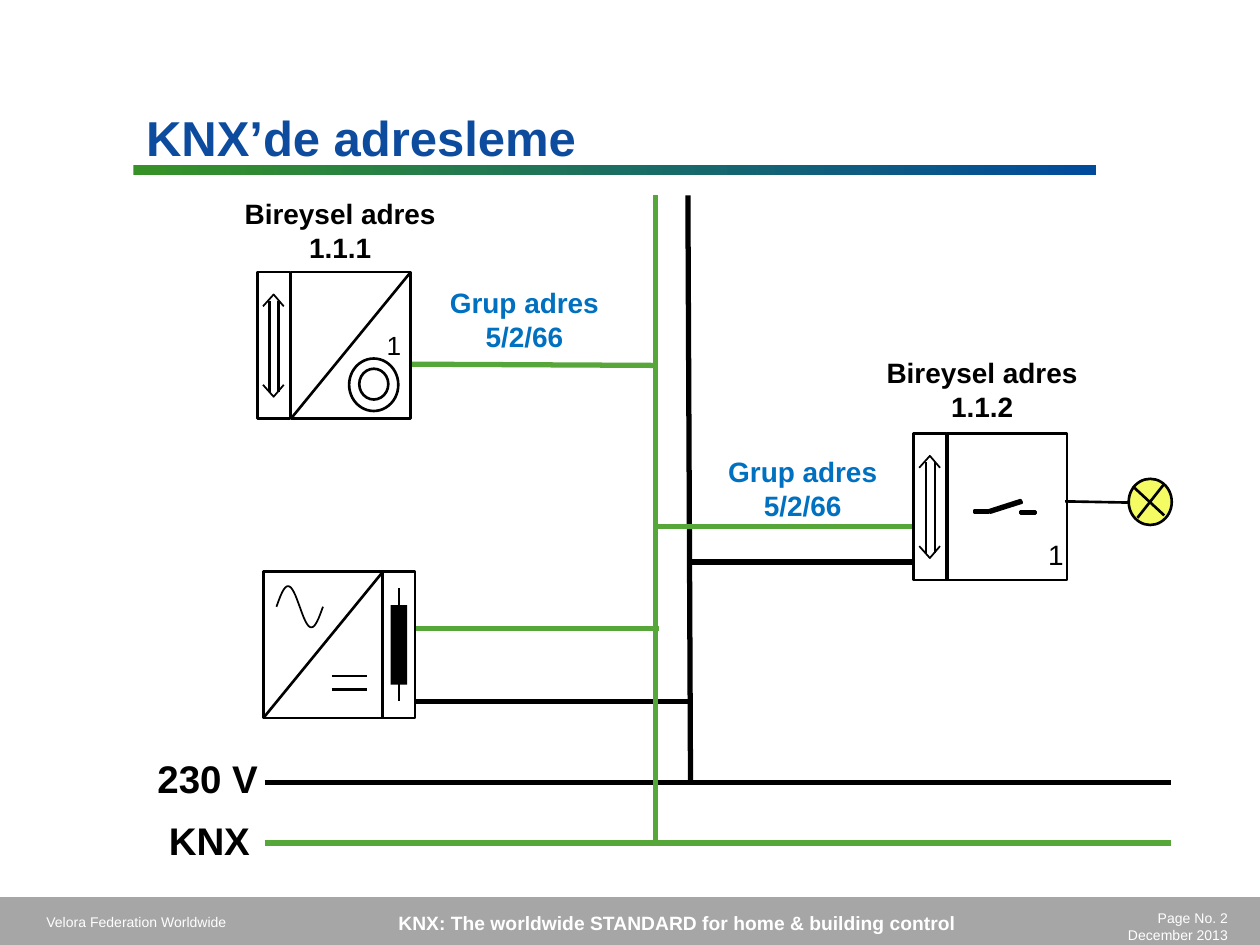
import math
from dataclasses import dataclass

import pptx
import pptx.util
from lxml import etree
from pptx.dml.color import RGBColor
from pptx.enum.shapes import MSO_CONNECTOR, MSO_SHAPE
from pptx.enum.text import MSO_ANCHOR, MSO_AUTO_SIZE, PP_ALIGN
from pptx.oxml.ns import qn

Pt = pptx.util.Pt


@dataclass(frozen=True)
class Theme:
    font: str = "Arial"
    black: str = "000000"
    white: str = "FFFFFF"
    title: str = "0C4B9D"
    group: str = "0070C0"
    bus: str = "57A639"
    lamp: str = "F4FB63"
    footer: str = "A6A6A6"
    rule: tuple = ("369226", "014B9D")
    title_size: float = 28
    rail_size: float = 22
    label_size: float = 16
    channel_size: float = 15
    slogan_size: float = 11
    footer_size: float = 8
    wire: float = 3
    outline: float = 1.5
    thin: float = 1


T = Theme()
LEFT, CENTER, RIGHT = PP_ALIGN.LEFT, PP_ALIGN.CENTER, PP_ALIGN.RIGHT
BAR_W, BODY_W, DEVICE_H = 18.8, 68.4, 83.7
FOOTER_INSETS = (7.2, 3.6, 7.2, 3.6)


def color(value):
    return RGBColor.from_string(value)


def write(tf, text, size, fill, bold=False, align=LEFT, insets=(0, 0, 0, 0)):
    """Fill a text frame; each newline starts a paragraph, each \\v breaks a line."""
    sides = ("margin_left", "margin_top", "margin_right", "margin_bottom")
    for side, inset in zip(sides, insets):
        setattr(tf, side, Pt(inset))
    tf.text = text
    tf.vertical_anchor = MSO_ANCHOR.TOP
    tf.auto_size = MSO_AUTO_SIZE.NONE
    for p in tf.paragraphs:
        p.alignment = align
        p.space_before = Pt(0)
        for r in p.runs:
            fmt = {"name": T.font, "size": Pt(size), "bold": bold}
            for key, value in fmt.items():
                setattr(r.font, key, value)
            r.font.color.rgb = color(fill)


def label(s, box, text, size, fill=T.black, wrap=False, **fmt):
    tf = s.shapes.add_textbox(*map(Pt, box)).text_frame
    write(tf, text, size, fill, **fmt)
    tf.word_wrap = wrap


def paint(sp, fill=None, line=None, width=T.outline):
    sp.shadow.inherit = False
    if fill:
        sp.fill.solid()
        sp.fill.fore_color.rgb = color(fill)
    else:
        sp.fill.background()
    if line:
        sp.line.color.rgb = color(line)
        sp.line.width = Pt(width)
    else:
        sp.line.fill.background()
    return sp


def shape(s, box, kind=MSO_SHAPE.RECTANGLE, fill=None, line=T.black):
    return paint(s.shapes.add_shape(kind, *map(Pt, box)), fill, line)


def line(s, x1, y1, x2, y2, stroke=T.black, width=T.outline):
    sp = s.shapes.add_connector(MSO_CONNECTOR.STRAIGHT, *map(Pt, (x1, y1, x2, y2)))
    sp.line.color.rgb = color(stroke)
    sp.line.width = Pt(width)
    etree.SubElement(sp._element.spPr, qn("a:effectLst"))


def outline(s, points, close=False, **look):
    start, *rest = [(Pt(x), Pt(y)) for x, y in points]
    builder = s.shapes.build_freeform(*start)
    builder.add_line_segments(rest, close=close)
    paint(builder.convert_to_shape(), **look)


def bus_device(s, x, y):
    """Two-part device with a double arrow for the bus coupling."""
    for dx, w in ((0, BAR_W), (BAR_W + 0.5, BODY_W)):
        shape(s, (x + dx, y, w, DEVICE_H))
    for tip, base in ((12.8, 19.6), (71.2, 64.4)):
        head = [(x + 3.3, y + base), (x + 9.4, y + tip), (x + 15.2, y + base)]
        outline(s, head, line=T.black, width=T.thin)
    for dx in (7.2, 12.2):
        line(s, x + dx, y + 16.4, x + dx, y + 68.4)


def sensor(s, x, y):
    bus_device(s, x, y)
    line(s, x + 87.7, y, x + 19.3, y + DEVICE_H)
    for dx, dy, w, h in ((58.3, 55.2, 16.6, 17.6), (52.5, 49.4, 28.1, 30)):
        shape(s, (x + dx, y + dy, w, h), MSO_SHAPE.OVAL)
    label(s, (221, 188, 8.6, 18), "1", T.channel_size)


def actuator(s, x, y):
    bus_device(s, x, y)
    for contact in ((556.6, 291.6, 8.6, 1.4), (583.2, 292.2, 8.6, 1.4)):
        shape(s, contact, fill=T.black)
    lever = [(565.9, 293), (583.9, 287.3), (583.2, 285.8), (565.2, 291.6)]
    outline(s, lever, close=True, fill=T.black, line=T.black)
    label(s, (599, 307.4, 8.6, 19.4), "1", T.label_size)


def power_supply(s, x, y):
    shape(s, (x, y, BODY_W, DEVICE_H))
    shape(s, (x + 67.8, y, BAR_W, DEVICE_H))
    line(s, x + BODY_W, y, x, y + DEVICE_H)
    wave = [(x + 7.5 + 26.6 * i / 32, y + 20.1 - 11.8 * math.sin(math.tau * i / 32))
            for i in range(33)]
    outline(s, wave, line=T.black, width=T.thin)
    shape(s, (x + 72.8, y + 19.2, 9.4, 45.4), fill=T.black, line=None)
    line(s, x + 77.6, y + 9.3, x + 77.6, y + 74.1)
    for dy in (59.6, 67.4):
        line(s, x + 39, y + dy, x + 59.2, y + dy)


def lamp(s):
    shape(s, (645, 273.6, 24.6, 26.4), MSO_SHAPE.OVAL, fill=T.lamp)
    line(s, 650, 295.9, 665.3, 276.5)
    line(s, 665.3, 294.5, 647.3, 277.9)
    line(s, 608.6, 286.5, 644.6, 287.2)


def frame(s):
    """Title, rule and footer."""
    title = s.shapes.title
    box = {"left": 76.3, "top": 54.7, "width": 316.8, "height": 36.7}
    for key, value in box.items():
        setattr(title, key, Pt(value))
    write(title.text_frame, "KNX’de adresleme", T.title_size, T.title, bold=True,
          insets=(7.2, 6.8, 7.2, 0))
    rule = shape(s, (76.3, 94.3, 550.2, 5.8), line=None)
    rule.fill.gradient()
    rule.fill.gradient_angle = 0
    for stop, value in zip(rule.fill.gradient_stops, T.rule):
        stop.color.rgb = color(value)

    shape(s, (0, 512.6, 720, 27.4), fill=T.footer, line=None)
    for box, text, size, bold, align in (
        ((19.4, 518.4, 164.2, 17.3), "Velora Federation Worldwide",
         T.footer_size, False, LEFT),
        ((626.4, 516.2, 82.5, 23.8), "Page No. 2\nDecember 2013",
         T.footer_size, False, RIGHT),
        ((126, 517, 522, 20.9),
         "KNX: The worldwide STANDARD for home & building control",
         T.slogan_size, True, CENTER),
    ):
        label(s, box, text, size, T.white, wrap=True, bold=bold, align=align,
              insets=FOOTER_INSETS)


def wires(s):
    mains = ((394.6, 321.1, 521.3, 321.1), (394.6, 447.1, 393.1, 111.6),
             (237.6, 401, 393.1, 401), (151.2, 447.1, 668.9, 447.1))
    bus = ((234.7, 208.1, 374.4, 208.8), (374.4, 481.7, 374.4, 111.6),
           (237.6, 359.3, 376.6, 359.3), (151.2, 481.7, 668.9, 481.7),
           (374.4, 301, 521.3, 301))
    for stroke, ends in ((T.black, mains), (T.bus, bus)):
        for points in ends:
            line(s, *points, stroke=stroke, width=T.wire)


def labels(s):
    for box, text in (((90, 431.3, 57.6, 26.6), "230 V"),
                      ((96.5, 466.6, 46.1, 26.6), "KNX")):
        label(s, box, text, T.rail_size, bold=True)
    for box, text, fill in (
        ((139.7, 112.5, 109.4, 38.2), "Bireysel adres\v1.1.1", T.black),
        ((506.5, 203.2, 109.4, 38.2), "Bireysel adres\v1.1.2", T.black),
        ((257.2, 163.4, 85, 38.2), "Grup adres\v5/2/66", T.group),
        ((416.2, 259.9, 85, 38.2), "Grup adres\v5/2/66", T.group),
    ):
        label(s, box, text, T.label_size, fill, bold=True, align=CENTER)


def main():
    prs = pptx.Presentation()
    prs.slide_width, prs.slide_height = Pt(720), Pt(540)
    s = prs.slides.add_slide(prs.slide_layouts[5])
    frame(s)
    wires(s)
    sensor(s, 147, 155.5)
    power_supply(s, 150.5, 326.6)
    actuator(s, 522, 247.7)
    lamp(s)
    labels(s)
    prs.save("out.pptx")


if __name__ == "__main__":
    main()
